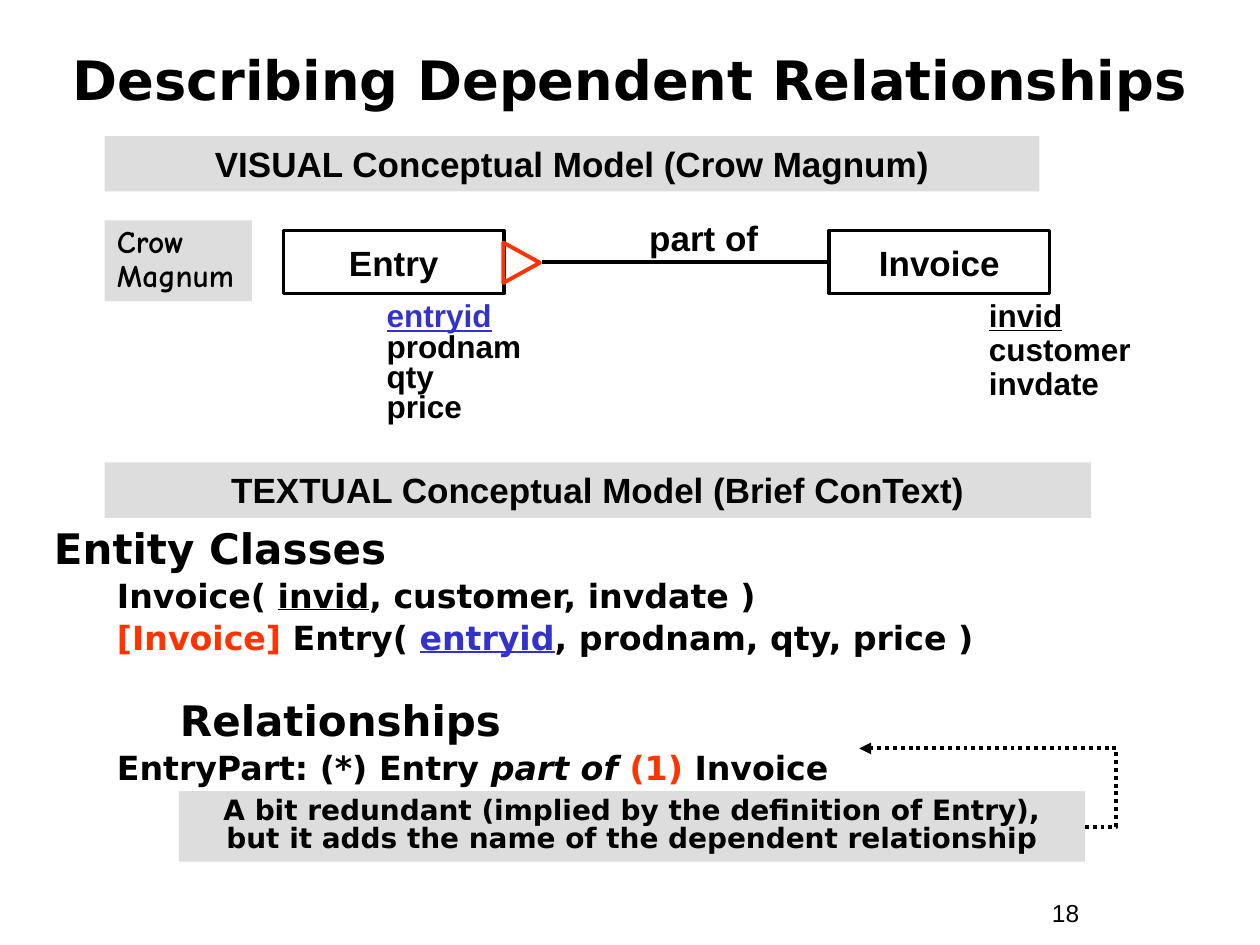
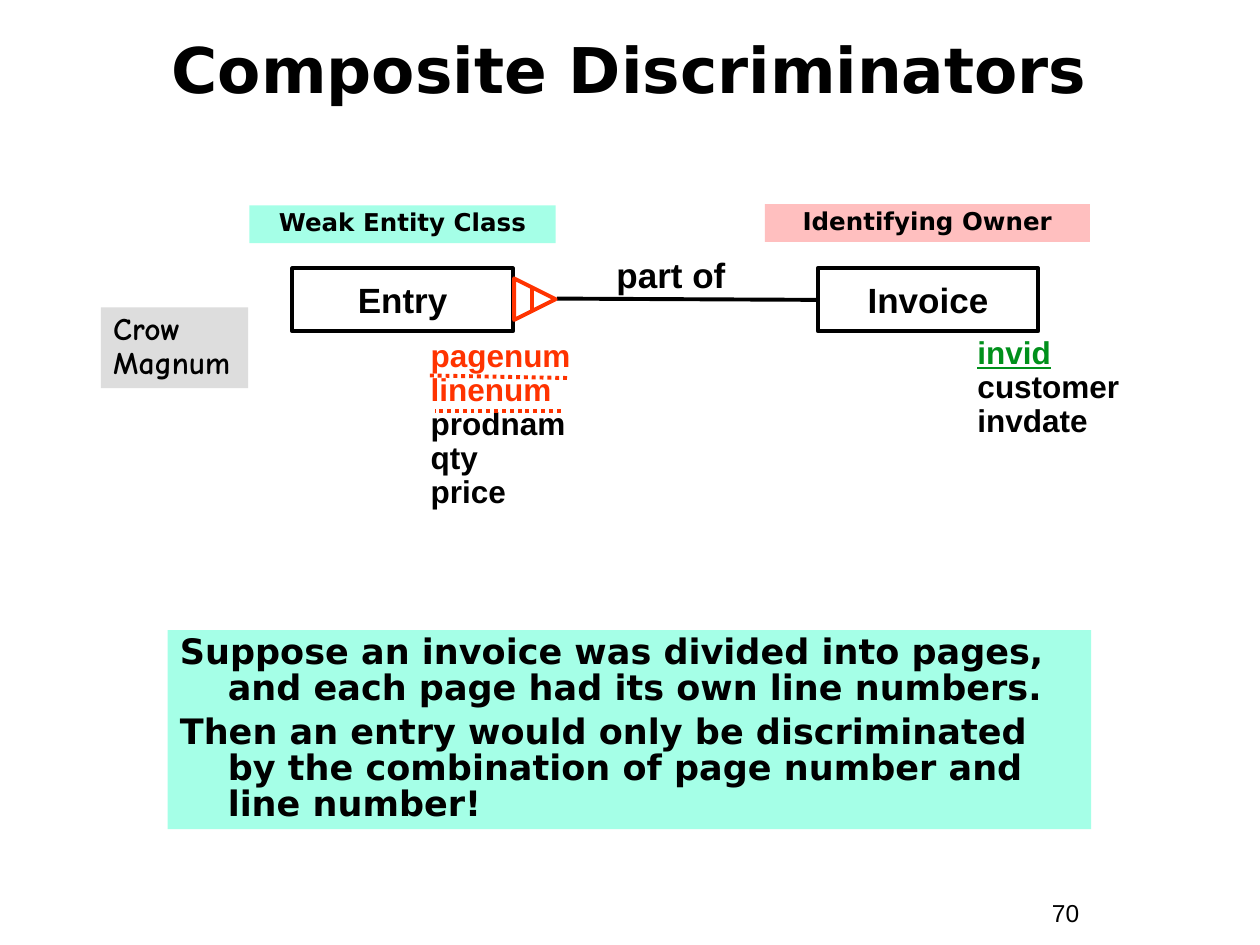
from copy import deepcopy

from lxml import etree
from pptx import Presentation
from pptx.dml.color import RGBColor
from pptx.enum import dml, shapes, text
from pptx.oxml.ns import qn
from pptx.util import Inches, Pt

BLACK, GREY, MINT, PINK = "000000", "DDDDDD", "A5FFE7", "FFBFBF"
RED, BLUE, GREEN = "FF3300", "3333CC", "00901B"
SANS, HEADING, HAND = "Arial", "DejaVu Sans", "Comic Neue"
LINE_WIDTH = 2.25
ENTITY_SIZE = (1.75, 0.5)
UNDERLINED = {"underline": True}

# A paragraph is a string or a list of (text, style) runs.
KEY_BLUE = {"color": BLUE, "underline": True}
KEY_GREEN = {"color": GREEN, "underline": True}
IN_RED = {"color": RED}

DEPENDENT = {
    "title": ("Describing Dependent Relationships", 0.25, 0.75, 31),
    "number": "18",
    "method_at": (0.83, 1.75),
    "entry": {"at": (2.25, 1.83), "list_offset": (0.72, 0.53), "spacing": 0.8,
              "attributes": [[("entryid", KEY_BLUE)], "prodnam", "qty", "price"]},
    "invoice": {"at": (6.58, 1.83), "list_offset": (1.17, 0.5), "spacing": 0.9,
                "attributes": [[("invid", UNDERLINED)], "customer", "invdate"]},
    "link": ((6.57, 2.08), (4.3, 2.08)),
    "part_of": (5, 1.67, 1.17, 0.44),
    "crow_foot": (3.98, 1.94, 0.32, 0.29),
}
MODEL_BANDS = [
    ("VISUAL Conceptual Model (Crow Magnum)", (0.83, 1.08, 7.42, 0.44)),
    ("TEXTUAL Conceptual Model (Brief ConText)", (0.83, 3.67, 7.83, 0.44)),
]
# Each line: paragraph, font size, left margin, first-line indent, space before
TEXTUAL_MODEL = [
    ("Entity Classes", 24, 0, 0, 0),
    ([("Invoice( ", {}), ("invid", UNDERLINED), (", customer, invdate )", {})],
     19, 1, -0.5, 3.5),
    ([("[Invoice]", IN_RED), (" Entry( ", {}), ("entryid", KEY_BLUE),
      (", prodnam, qty, price )", {})], 19, 1, -0.5, 3.7),
    ("Relationships", 24, 1, 0, 24.4),
    ([("EntryPart: (*) Entry ", {}), ("part of ", {"italic": True}),
      ("(1)", IN_RED), (" Invoice", {})], 19, 1, -0.5, 3.5),
]
REDUNDANCY_NOTE = ("A bit redundant (implied by the definition of Entry),\v"
                   "but it adds the name of the dependent relationship")

COMPOSITE = {
    "title": ("Composite Discriminators", 0.08, 0.92, 36),
    "number": "70",
    "method_at": (0.8, 2.44),
    "entry": {"at": (2.32, 2.13), "list_offset": (1, 0.52), "spacing": 0.9,
              "attributes": [[("pagenum", IN_RED)], [("linenum", IN_RED)],
                             "prodnam", "qty", "price"]},
    "invoice": {"at": (6.49, 2.13), "list_offset": (1.17, 0.5), "spacing": 0.9,
                "attributes": [[("invid", KEY_GREEN)], "customer", "invdate"]},
    "link": ((6.48, 2.38), (4.42, 2.37)),
    "part_of": (4.49, 1.96, 1.67, 0.44),
    "crow_foot": (4.08, 2.21, 0.33, 0.33),
}
ROLES = [
    ("Weak Entity Class", MINT, (1.98, 1.63, 2.43, 0.3)),
    ("Identifying Owner", PINK, (6.07, 1.62, 2.58, 0.3)),
]
DISCRIMINATOR_BAR = ((4.22, 2.28), (4.22, 2.47))
DISCRIMINATOR_UNDERLINES = [((4.5, 3), (3.41, 2.98)), ((4.45, 3.26), (3.45, 3.26))]
EXPLANATION = [
    "Suppose an invoice was divided into pages, and each page had its own line numbers.",
    "Then an entry would only be discriminated by the combination of "
    "page number and line number!",
]


def rgb(color):
    return RGBColor.from_string(color)


def write_paragraph(paragraph, content, size, font=SANS, bold=True, align="LEFT",
                    spacing=None, before=0, margin=0, indent=0):
    if isinstance(content, str):
        paragraph.text = content
        styles = [{}] * len(paragraph.runs)
    else:
        styles = [style for _, style in content]
        for words, _ in content:
            paragraph.add_run().text = words
    for run, style in zip(paragraph.runs, styles):
        run.font.size = Pt(size)
        run.font.name = font
        run.font.bold = bold
        run.font.italic = style.get("italic", False)
        run.font.underline = style.get("underline", False)
        run.font.color.rgb = rgb(style.get("color", BLACK))
    for line_break in paragraph._p.findall(qn("a:br")):
        line_break.insert(0, deepcopy(paragraph.runs[0]._r.rPr))
    paragraph.alignment = getattr(text.PP_ALIGN, align)
    paragraph.line_spacing = spacing
    paragraph.space_before = Pt(before)
    properties = paragraph._p.get_or_add_pPr()
    properties.set("marL", str(Inches(margin)))
    properties.set("indent", str(Inches(indent)))


def prepare_frame(shape, anchor="TOP", wrap=True):
    frame = shape.text_frame
    frame.word_wrap = wrap
    frame.vertical_anchor = getattr(text.MSO_ANCHOR, anchor)
    return frame


def add_lines(frame, paragraphs, gap=0, **style):
    for i, content in enumerate(paragraphs):
        paragraph = frame.add_paragraph() if i else frame.paragraphs[0]
        write_paragraph(paragraph, content, before=gap if i else 0, **style)


def add_text(slide, box, paragraphs, anchor="TOP", **style):
    label = slide.shapes.add_textbox(*map(Inches, box))
    add_lines(prepare_frame(label, anchor), paragraphs, **style)


def add_figure(slide, box, kind="RECTANGLE", fill=None, line=None):
    figure = slide.shapes.add_shape(getattr(shapes.MSO_SHAPE, kind), *map(Inches, box))
    figure.shadow.inherit = False
    if fill:
        figure.fill.solid()
        figure.fill.fore_color.rgb = rgb(fill)
    else:
        figure.fill.background()
    if line:
        figure.line.color.rgb = rgb(line)
        figure.line.width = Pt(LINE_WIDTH)
    else:
        figure.line.fill.background()
    return figure


def add_band(slide, box, fill, paragraphs, **style):
    band = add_figure(slide, box, fill=fill)
    add_lines(prepare_frame(band), paragraphs, **style)


def add_line(slide, start, end, color=BLACK, dotted=False, kind="STRAIGHT"):
    line = slide.shapes.add_connector(getattr(shapes.MSO_CONNECTOR, kind),
                                      *map(Inches, start + end))
    line.line.color.rgb = rgb(color)
    line.line.width = Pt(LINE_WIDTH)
    if dotted:
        line.line.dash_style = dml.MSO_LINE.ROUND_DOT
    etree.SubElement(line._element.spPr, qn("a:effectLst"))
    return line


def add_bent_arrow(slide, start, end, bend):
    """Dotted elbow arrow whose middle leg sits at the fraction bend of its width."""
    arrow = add_line(slide, start, end, dotted=True, kind="ELBOW")
    geometry = arrow._element.spPr.find(qn("a:prstGeom"))
    adjustments = geometry.find(qn("a:avLst"))
    if adjustments is None:
        adjustments = etree.SubElement(geometry, qn("a:avLst"))
    etree.SubElement(adjustments, qn("a:gd"), name="adj1",
                     fmla=f"val {round(bend * 100000)}")
    etree.SubElement(arrow.line._get_or_add_ln(), qn("a:tailEnd"), type="triangle")


def add_entity(slide, name, entity):
    left, top = entity["at"]
    box = add_figure(slide, (left, top, *ENTITY_SIZE), line=BLACK)
    add_lines(prepare_frame(box, "MIDDLE", wrap=False), [name], size=20, align="CENTER")
    right_by, down_by = entity["list_offset"]
    attributes = entity["attributes"]
    add_text(slide, (left + right_by, top + down_by, 1.67, 0.1 + 0.27 * len(attributes)),
             attributes, size=18, spacing=entity["spacing"])


def start_slide(deck, content):
    """Add a slide with its title, number and Entry-Invoice diagram."""
    slide = deck.slides.add_slide(deck.slide_layouts[6])
    title, top, height, size = content["title"]
    add_text(slide, (0.33, top, 9.33, height), [title], anchor="MIDDLE",
             size=size, font=HEADING, align="CENTER")
    add_text(slide, (8.25, 7.08, 0.92, 0.34), [content["number"]], size=14, bold=False)
    add_line(slide, *content["link"])
    add_entity(slide, "Entry", content["entry"])
    add_entity(slide, "Invoice", content["invoice"])
    add_text(slide, content["part_of"], ["part of"], size=20, align="CENTER")
    crow_foot = add_figure(slide, content["crow_foot"], "FLOWCHART_EXTRACT", line=RED)
    crow_foot.rotation = 90
    add_band(slide, (*content["method_at"], 1.17, 0.64), GREY, ["Crow\vMagnum"],
             size=18, font=HAND, spacing=0.9)
    return slide


def build_dependent(deck):
    slide = start_slide(deck, DEPENDENT)
    for heading, box in MODEL_BANDS:
        add_band(slide, box, GREY, [heading], size=20, align="CENTER")
    model = slide.shapes.add_textbox(*map(Inches, (0.33, 4.14, 9.42, 2.19)))
    frame = prepare_frame(model)
    for i, (content, size, margin, indent, before) in enumerate(TEXTUAL_MODEL):
        paragraph = frame.add_paragraph() if i else frame.paragraphs[0]
        write_paragraph(paragraph, content, size, HEADING, spacing=0.9,
                        before=before, margin=margin, indent=indent)
    add_band(slide, (1.42, 6.28, 7.19, 0.56), GREY, [REDUNDANCY_NOTE],
             size=16, font=HEADING, align="CENTER", spacing=0.85)
    add_bent_arrow(slide, (8.61, 6.56), (6.82, 5.94), bend=-0.14)


def build_composite(deck):
    slide = start_slide(deck, COMPOSITE)
    for role, fill, box in ROLES:
        add_band(slide, box, fill, [role], size=14, font=HEADING,
                 align="CENTER", spacing=0.85)
    add_line(slide, *DISCRIMINATOR_BAR, color=RED)
    for ends in DISCRIMINATOR_UNDERLINES:
        add_line(slide, *ends, color=RED, dotted=True)
    add_band(slide, (1.33, 5, 7.33, 1.58), MINT, EXPLANATION, gap=5, size=20,
             font=HEADING, spacing=0.85, margin=0.38, indent=-0.38)


def main():
    deck = Presentation()
    deck.slide_width, deck.slide_height = Inches(10), Inches(7.5)
    build_dependent(deck)
    build_composite(deck)
    deck.save("out.pptx")


if __name__ == "__main__":
    main()
